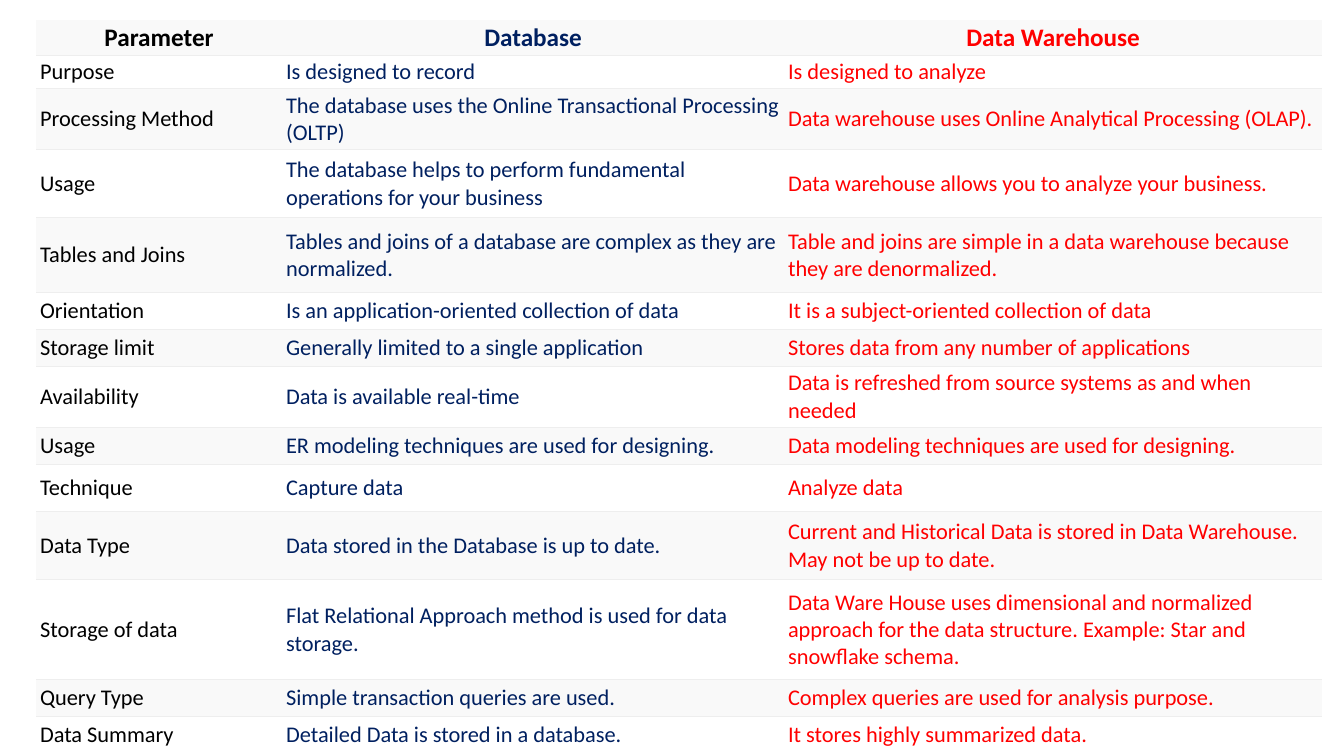
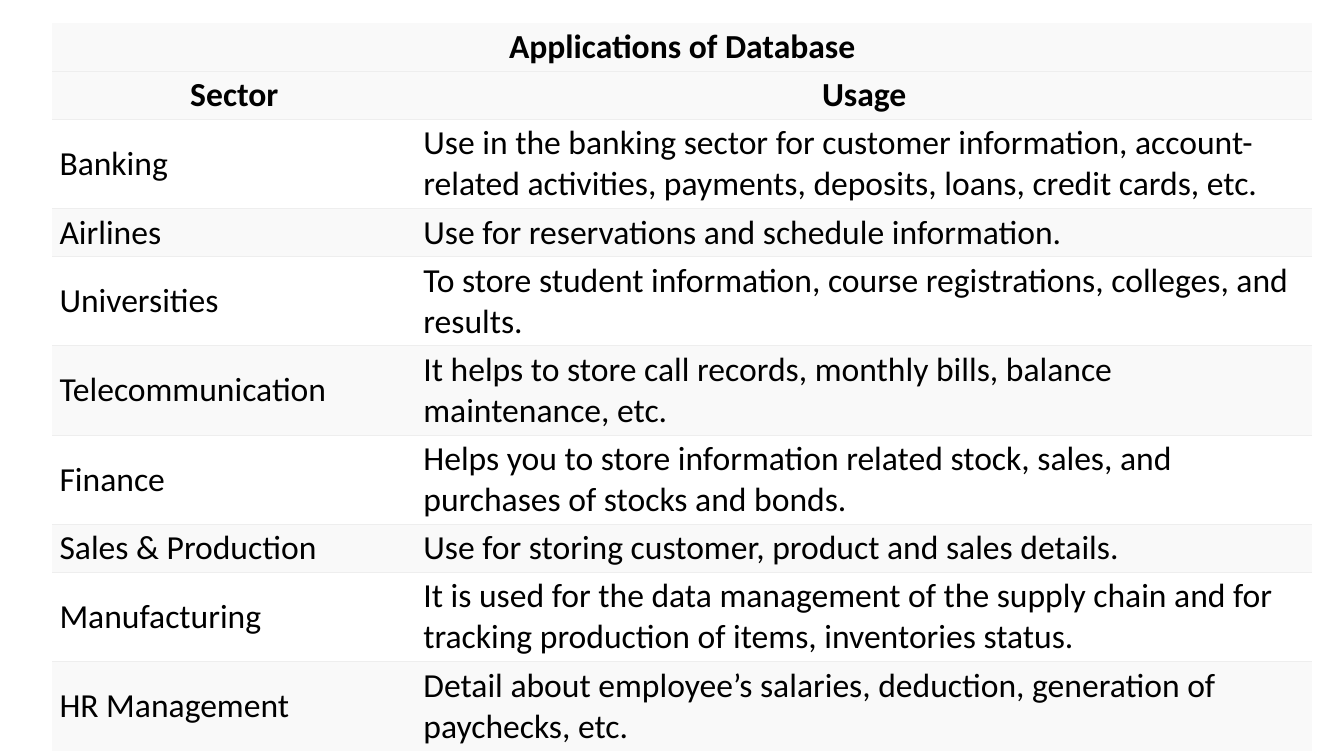
"""Build two comparison slides, each filled by one banded table."""

from dataclasses import dataclass

from lxml.etree import SubElement
from pptx import Presentation
from pptx.dml.color import RGBColor
from pptx.enum.text import MSO_VERTICAL_ANCHOR as Anchor
from pptx.enum.text import PP_PARAGRAPH_ALIGNMENT as Align
from pptx.oxml.ns import qn
from pptx.util import Cm, Pt

FONT = "Calibri"
COLORS = {
    "ink": "000000",
    "navy": "002060",
    "red": "FF0000",
    "band": "F9F9F9",
    "plain": "FFFFFF",
    "rule": "EEEEEE",
}
RULE_WIDTH = Pt(0.75)


@dataclass(frozen=True)
class Column:
    width: float
    color: str = "ink"


@dataclass(frozen=True)
class Row:
    height: float
    texts: tuple[str, ...]


@dataclass(frozen=True)
class TableSpec:
    left: float
    top: float
    inset_x: float
    inset_y: float
    header_size: int
    body_size: int
    header_rows: int
    columns: tuple[Column, ...]
    rows: tuple[Row, ...]


LINE = 0.93
PAIR = 1.54
COMPARISON = TableSpec(
    left=0.91, top=0.51, inset_x=0.1, inset_y=0.05,
    header_size=18, body_size=16, header_rows=1,
    columns=(Column(6.2), Column(12.65, "navy"), Column(13.56, "red")),
    rows=(
        Row(0.88, ("Parameter", "Database", "Data Warehouse")),
        Row(0.84, ("Purpose", "Is designed to record", "Is designed to analyze")),
        Row(PAIR, (
            "Processing Method",
            "The database uses the Online Transactional Processing (OLTP)",
            "Data warehouse uses Online Analytical Processing (OLAP).",
        )),
        Row(1.72, (
            "Usage",
            "The database helps to perform fundamental operations for your business",
            "Data warehouse allows you to analyze your business.",
        )),
        Row(1.88, (
            "Tables and Joins",
            "Tables and joins of a database are complex as they are normalized.",
            "Table and joins are simple in a data warehouse because they are denormalized.",
        )),
        Row(LINE, (
            "Orientation",
            "Is an application-oriented collection of data",
            "It is a subject-oriented collection of data",
        )),
        Row(LINE, (
            "Storage limit",
            "Generally limited to a single application",
            "Stores data from any number of applications",
        )),
        Row(PAIR, (
            "Availability",
            "Data is available real-time",
            "Data is refreshed from source systems as and when needed",
        )),
        Row(LINE, (
            "Usage",
            "ER modeling techniques are used for designing.",
            "Data modeling techniques are used for designing.",
        )),
        Row(1.19, ("Technique", "Capture data", "Analyze data")),
        Row(1.72, (
            "Data Type",
            "Data stored in the Database is up to date.",
            "Current and Historical Data is stored in Data Warehouse. "
            "May not be up to date.",
        )),
        Row(2.52, (
            "Storage of data",
            "Flat Relational Approach method is used for data storage.",
            "Data Ware House uses dimensional and normalized approach for the "
            "data structure. Example: Star and snowflake schema.",
        )),
        Row(LINE, (
            "Query Type",
            "Simple transaction queries are used.",
            "Complex queries are used for analysis purpose.",
        )),
        Row(LINE, (
            "Data Summary",
            "Detailed Data is stored in a database.",
            "It stores highly summarized data.",
        )),
    ),
)

SINGLE = 1.21
DOUBLE = 2.24
APPLICATIONS = TableSpec(
    left=1.32, top=0.58, inset_x=0.18, inset_y=0.09,
    header_size=24, body_size=24, header_rows=2,
    columns=(Column(9.17), Column(22.58)),
    rows=(
        Row(SINGLE, ("Applications of Database",)),
        Row(SINGLE, ("Sector", "Usage")),
        Row(DOUBLE, (
            "Banking",
            "Use in the banking sector for customer information, account-related "
            "activities, payments, deposits, loans, credit cards, etc.",
        )),
        Row(SINGLE, ("Airlines", "Use for reservations and schedule information.")),
        Row(DOUBLE, (
            "Universities",
            "To store student information, course registrations, colleges, and results.",
        )),
        Row(DOUBLE, (
            "Telecommunication",
            "It helps to store call records, monthly bills, balance maintenance, etc.",
        )),
        Row(DOUBLE, (
            "Finance",
            "Helps you to store information related stock, sales, and purchases "
            "of stocks and bonds.",
        )),
        Row(SINGLE, (
            "Sales & Production",
            "Use for storing customer, product and sales details.",
        )),
        Row(DOUBLE, (
            "Manufacturing",
            "It is used for the data management of the supply chain and for "
            "tracking production of items, inventories status.",
        )),
        Row(DOUBLE, (
            "HR Management",
            "Detail about employee’s salaries, deduction, generation of paychecks, etc.",
        )),
    ),
)


def color(name: str) -> RGBColor:
    return RGBColor.from_string(COLORS[name])


def set_borders(cell, ruled: set[str]) -> None:
    properties = cell._tc.get_or_add_tcPr()
    for side in ("lnL", "lnR", "lnT", "lnB"):
        line = SubElement(properties, qn(f"a:{side}"), w=str(int(RULE_WIDTH)))
        if side in ruled:
            fill = SubElement(line, qn("a:solidFill"))
            SubElement(fill, qn("a:srgbClr"), val=COLORS["rule"])
        else:
            SubElement(line, qn("a:noFill"))


def style_cell(cell, spec: TableSpec, row_index: int) -> None:
    last = len(spec.rows) - 1
    ruled = {side for side, shown in (("lnT", row_index > 0), ("lnB", row_index < last)) if shown}
    set_borders(cell, ruled)
    body_index = row_index - spec.header_rows
    cell.fill.solid()
    cell.fill.fore_color.rgb = color("band" if body_index < 0 or body_index % 2 else "plain")
    cell.vertical_anchor = Anchor.MIDDLE
    cell.margin_left = cell.margin_right = Cm(spec.inset_x)
    cell.margin_top = cell.margin_bottom = Cm(spec.inset_y)


def write_cell(cell, text: str, size: int, ink: str, header: bool) -> None:
    para = cell.text_frame.paragraphs[0]
    para.alignment = Align.CENTER if header else Align.LEFT
    span = para.add_run()
    span.text = text
    span.font.name = FONT
    span.font.size = Pt(size)
    span.font.bold = header
    span.font.color.rgb = color(ink)


def add_table_page(deck, spec: TableSpec) -> None:
    page = deck.slides.add_slide(deck.slide_layouts[6])
    width = sum(column.width for column in spec.columns)
    height = sum(row.height for row in spec.rows)
    table = page.shapes.add_table(
        len(spec.rows), len(spec.columns),
        Cm(spec.left), Cm(spec.top), Cm(width), Cm(height),
    ).table
    table.first_row = table.horz_banding = False
    for table_column, column in zip(table.columns, spec.columns):
        table_column.width = Cm(column.width)
    for row_index, row in enumerate(spec.rows):
        table.rows[row_index].height = Cm(row.height)
        header = row_index < spec.header_rows
        size = spec.header_size if header else spec.body_size
        cells = [table.cell(row_index, index) for index in range(len(spec.columns))]
        for cell in cells:
            style_cell(cell, spec, row_index)
        if len(row.texts) == 1:
            cells[0].merge(cells[-1])
        for cell, text, column in zip(cells, row.texts, spec.columns):
            write_cell(cell, text, size, column.color, header)


def main() -> None:
    deck = Presentation()
    deck.slide_width, deck.slide_height = Cm(33.87), Cm(19.05)
    for spec in (COMPARISON, APPLICATIONS):
        add_table_page(deck, spec)
    deck.save("out.pptx")


if __name__ == "__main__":
    main()
